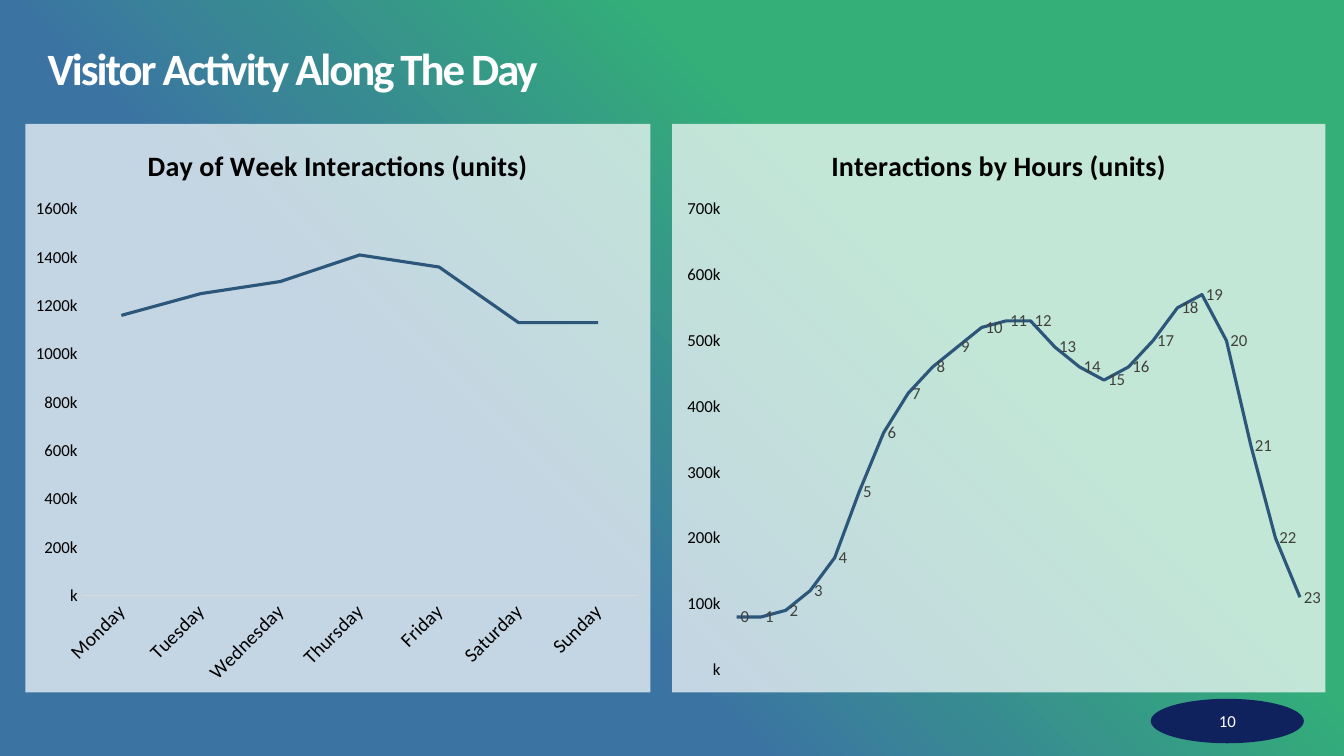
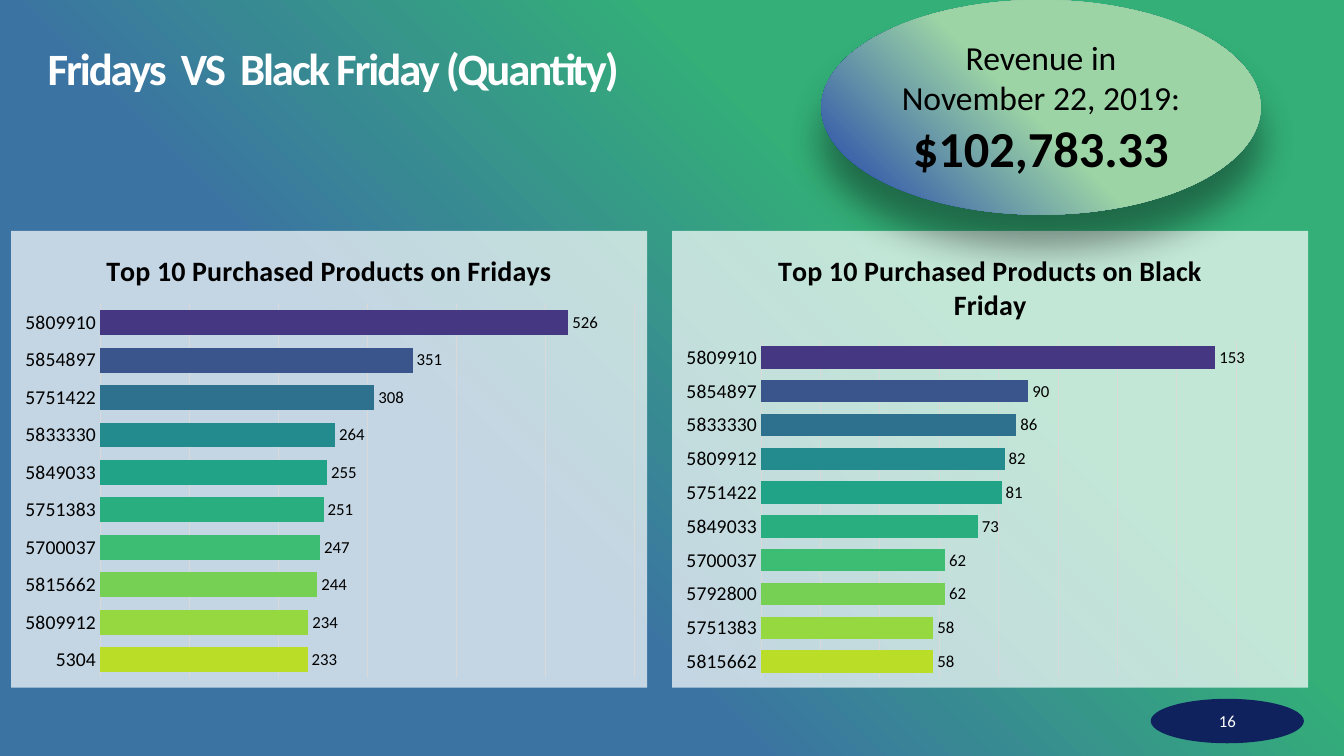
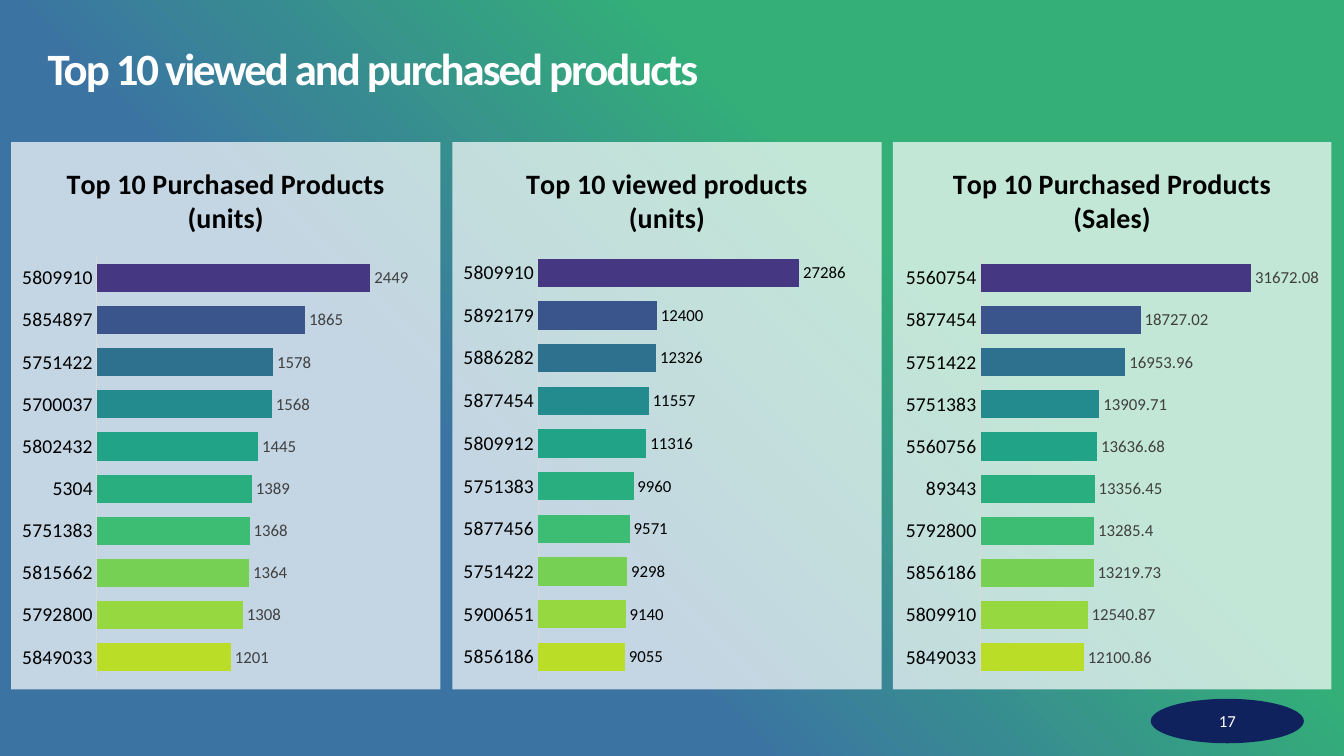
from dataclasses import dataclass
from typing import Optional

from lxml import etree
from pptx import Presentation
from pptx.chart import data as chart_data
from pptx.dml.color import RGBColor
from pptx.enum import chart as ch, shapes, text
from pptx.oxml import parse_xml
from pptx.oxml.ns import nsdecls, qn
from pptx.util import Cm, Pt

FONT = "Calibri"
WHITE = RGBColor(0xFF, 0xFF, 0xFF)
BLACK = RGBColor(0, 0, 0)
GREEN = RGBColor(0x33, 0xAF, 0x77)
BLUE = RGBColor(0x3B, 0x74, 0xA3)
PALE_GREEN = RGBColor(0x9C, 0xD4, 0xA5)
ROYAL_BLUE = RGBColor(0x1B, 0x3D, 0xAB)
NAVY = RGBColor(0x0F, 0x22, 0x5E)
STEEL = RGBColor(0x2C, 0x56, 0x7A)
DARK_GREY = RGBColor(0x40, 0x40, 0x40)
LIGHT_GREY = RGBColor(0xD9, 0xD9, 0xD9)
RANK_COLOURS = [RGBColor.from_string(code) for code in (
    "BADE28", "95D840", "75D054", "3DBC74", "29AF7F",
    "20A386", "238A8D", "2D718E", "39558C", "453781")]
PLOT_EDGE = 0.98


@dataclass
class Panel:
    """A chart panel; place is in cm, the plot edges are fractions of the panel."""
    title: str
    place: tuple[float, float, float, float]
    categories: list[str]
    values: list[float]
    top_value: int
    plot_left: float
    plot_top: float
    plot_bottom: float = PLOT_EDGE
    label_colour: RGBColor = BLACK


@dataclass
class LinePanel(Panel):
    step: int = 100000
    label_points: bool = False


@dataclass
class RankPanel(Panel):
    grid_step: Optional[int] = None


@dataclass
class Page:
    title: str
    number: int
    panels: list[Panel]
    revenue: Optional[tuple[str, str]] = None


def set_font(font, size: float, colour: RGBColor, bold: bool = False) -> None:
    font.name, font.size, font.bold = FONT, Pt(size), bold
    font.color.rgb = colour


def corner_gradient(fill, owner, stops: list[tuple[int, RGBColor]]) -> None:
    """Fill with a gradient that spreads from the top right corner."""
    fill.gradient()
    old = next(owner.iter(qn("a:gradFill")))
    stop_xml = "".join(f'<a:gs pos="{pos * 1000}"><a:srgbClr val="{colour}"/></a:gs>'
                       for pos, colour in stops)
    new = parse_xml(f'<a:gradFill {nsdecls("a")} rotWithShape="1"><a:gsLst>{stop_xml}</a:gsLst>'
                    '<a:path path="circle"><a:fillToRect l="100000" b="100000"/></a:path>'
                    '</a:gradFill>')
    old.getparent().replace(old, new)


def add_title(slide, title: str) -> None:
    box = slide.shapes.add_textbox(Cm(1.2), Cm(1.19), Cm(31.47), Cm(1.19))
    frame = box.text_frame
    frame.text = title
    frame.word_wrap = True
    frame.vertical_anchor = text.MSO_ANCHOR.MIDDLE
    frame.margin_left = frame.margin_right = frame.margin_top = frame.margin_bottom = 0
    line = frame.paragraphs[0]
    line.line_spacing = 0.9
    set_font(line.runs[0].font, 32, WHITE, bold=True)
    line.runs[0].font._element.set("spc", "-150")


def add_ellipse(slide, place: tuple[float, float, float, float],
                lines: list[tuple[str, float, RGBColor, bool]]):
    """Draw an ellipse with centred lines of (wording, size, colour, bold)."""
    ellipse = slide.shapes.add_shape(shapes.MSO_SHAPE.OVAL, *map(Cm, place))
    ellipse.shadow.inherit = False
    ellipse.line.fill.background()
    frame = ellipse.text_frame
    frame.vertical_anchor = text.MSO_ANCHOR.MIDDLE
    frame.text = "\n".join(wording for wording, *_ in lines)
    for paragraph, (_, size, colour, bold) in zip(frame.paragraphs, lines):
        paragraph.alignment = text.PP_ALIGN.CENTER
        set_font(paragraph.runs[0].font, size, colour, bold)
    return ellipse


def add_page_number(slide, number: int) -> None:
    badge = add_ellipse(slide, (29, 17.61, 3.86, 1.12), [(str(number), 12, WHITE, False)])
    badge.fill.solid()
    badge.fill.fore_color.rgb = NAVY


def add_revenue(slide, caption: str, amount: str) -> None:
    bubble = add_ellipse(slide, (20.7, 0, 11.07, 5.41),
                         [(caption, 24, BLACK, False), (amount, 36, BLACK, True)])
    corner_gradient(bubble.fill, bubble._element.spPr, [(52, PALE_GREEN), (100, ROYAL_BLUE)])
    effects = bubble._element.spPr.find(qn("a:effectLst"))
    effects.append(parse_xml(
        f'<a:outerShdw {nsdecls("a")} blurRad="{Pt(26)}" dist="{Pt(24)}" dir="5400000" '
        f'rotWithShape="0"><a:srgbClr val="{BLACK}"><a:alpha val="39000"/></a:srgbClr>'
        '</a:outerShdw>'))


def place_plot(chart, panel: Panel) -> None:
    plot_area = chart._chartSpace.chart.plotArea
    for layout in plot_area.findall(qn("c:layout")):
        plot_area.remove(layout)
    layout = etree.Element(qn("c:layout"))
    manual = etree.SubElement(layout, qn("c:manualLayout"))
    settings = {"layoutTarget": "inner", "xMode": "edge", "yMode": "edge",
                "x": panel.plot_left, "y": panel.plot_top,
                "w": round(PLOT_EDGE - panel.plot_left, 2),
                "h": round(panel.plot_bottom - panel.plot_top, 2)}
    for tag, value in settings.items():
        etree.SubElement(manual, qn(f"c:{tag}")).set("val", str(value))
    plot_area.insert(0, layout)


def add_panel(slide, panel: Panel, kind: ch.XL_CHART_TYPE):
    """Draw what all panels share and return the chart."""
    table = chart_data.CategoryChartData()
    table.categories = panel.categories
    table.add_series("Series 1", panel.values)
    chart = slide.shapes.add_chart(kind, *map(Cm, panel.place), table).chart
    set_font(chart.font, 10, BLACK)
    chart._chartSpace.find(qn("c:txPr")).addprevious(parse_xml(
        f'<c:spPr {nsdecls("c", "a")}><a:solidFill><a:srgbClr val="{WHITE}">'
        '<a:alpha val="70000"/></a:srgbClr></a:solidFill><a:ln><a:noFill/></a:ln></c:spPr>'))
    chart.has_legend = False
    chart.has_title = True
    heading = chart.chart_title.text_frame
    heading.text = panel.title
    set_font(heading.paragraphs[0].runs[0].font, 20, BLACK, bold=True)
    place_plot(chart, panel)
    chart.plots[0].vary_by_categories = False

    names, scale = chart.category_axis, chart.value_axis
    for axis in (names, scale):
        axis.major_tick_mark = axis.minor_tick_mark = ch.XL_TICK_MARK.NONE
        axis.has_major_gridlines = False
    names.format.line.color.rgb = LIGHT_GREY
    names.format.line.width = Pt(0.75)
    set_font(names.tick_labels.font, 14, BLACK)
    scale.minimum_scale, scale.maximum_scale = 0, panel.top_value
    return chart


def add_labels(plot, colour: RGBColor, position: ch.XL_LABEL_POSITION, by_name: bool) -> None:
    plot.has_data_labels = True
    labels = plot.data_labels
    labels.show_category_name, labels.show_value = by_name, not by_name
    labels.position = position
    set_font(labels.font, 12, colour)


def add_line_panel(slide, panel: LinePanel) -> None:
    chart = add_panel(slide, panel, ch.XL_CHART_TYPE.LINE)
    curve = chart.plots[0].series[0]
    curve.smooth = False
    curve.format.line.color.rgb = STEEL
    curve.format.line.width = Pt(2.25)
    scale = chart.value_axis
    scale.major_unit = panel.step
    scale.format.line.fill.background()
    scale.tick_labels.number_format = "#,\\k"
    scale.tick_labels.number_format_is_linked = False
    set_font(scale.tick_labels.font, 12, BLACK)
    if panel.label_points:
        chart.category_axis.visible = False
        add_labels(chart.plots[0], panel.label_colour, ch.XL_LABEL_POSITION.RIGHT, by_name=True)
    else:
        turned = chart.category_axis._element.find(qn("c:txPr")).find(qn("a:bodyPr"))
        turned.set("rot", "-2700000")


def add_rank_panel(slide, panel: RankPanel) -> None:
    chart = add_panel(slide, panel, ch.XL_CHART_TYPE.BAR_CLUSTERED)
    plot = chart.plots[0]
    plot.gap_width = 50
    bars = plot.series[0]
    bars.format.fill.solid()
    bars.format.fill.fore_color.rgb = STEEL
    for index, colour in enumerate(RANK_COLOURS):
        fill = bars.points[index].format.fill
        fill.solid()
        fill.fore_color.rgb = colour
    add_labels(plot, panel.label_colour, ch.XL_LABEL_POSITION.OUTSIDE_END, by_name=False)
    scale = chart.value_axis
    scale.visible = False
    if panel.grid_step:
        scale.major_unit = panel.grid_step
        scale.has_major_gridlines = True
        scale.major_gridlines.format.line.color.rgb = LIGHT_GREY
        scale.major_gridlines.format.line.width = Pt(0.75)


PAGES = [
    Page("Visitor Activity Along The Day", 10, [
        LinePanel(
            "Interactions by Hours (units)", (16.94, 3.12, 16.46, 14.33),
            [str(hour) for hour in range(24)],
            [80000, 80000, 90000, 120000, 170000, 270000, 360000, 420000,
             460000, 490000, 520000, 530000, 530000, 490000, 460000, 440000,
             460000, 500000, 550000, 570000, 500000, 340000, 200000, 110000],
            700000, 0.08, 0.15, 0.96, DARK_GREY, label_points=True),
        LinePanel(
            "Day of Week Interactions (units)", (0.64, 3.12, 15.75, 14.33),
            ["Monday", "Tuesday", "Wednesday", "Thursday", "Friday", "Saturday", "Sunday"],
            [1160000, 1250000, 1300000, 1410000, 1360000, 1130000, 1130000],
            1600000, 0.09, 0.15, 0.83, step=200000),
    ]),
    Page("Fridays  VS  Black Friday (Quantity)", 16, [
        RankPanel(
            "Top 10 Purchased Products on Fridays", (0.28, 5.82, 16.03, 11.51),
            ["5304", "5809912", "5815662", "5700037", "5751383",
             "5849033", "5833330", "5751422", "5854897", "5809910"],
            [233, 234, 244, 247, 251, 255, 264, 308, 351, 526],
            600, 0.14, 0.16, grid_step=100),
        RankPanel(
            "Top 10 Purchased Products on Black Friday", (16.94, 5.82, 16.03, 11.51),
            ["5815662", "5751383", "5792800", "5700037", "5849033",
             "5751422", "5809912", "5833330", "5854897", "5809910"],
            [58, 58, 62, 62, 73, 81, 82, 86, 90, 153],
            180, 0.14, 0.24, grid_step=20),
    ], ("Revenue in November 22, 2019:", "$102,783.33")),
    Page("Top 10 viewed and purchased products", 17, [
        RankPanel(
            "Top 10 Purchased Products (units)", (0.28, 3.58, 10.82, 13.79),
            ["5849033", "5792800", "5815662", "5751383", "5304",
             "5802432", "5700037", "5751422", "5854897", "5809910"],
            [1201, 1308, 1364, 1368, 1389, 1445, 1568, 1578, 1865, 2449],
            3000, 0.2, 0.21, label_colour=DARK_GREY),
        RankPanel(
            "Top 10 viewed products (units)", (11.4, 3.58, 10.82, 13.79),
            ["5856186", "5900651", "5751422", "5877456", "5751383",
             "5809912", "5877454", "5886282", "5892179", "5809910"],
            [9055, 9140, 9298, 9571, 9960, 11316, 11557, 12326, 12400, 27286],
            35000, 0.2, 0.2),
        RankPanel(
            "Top 10 Purchased Products (Sales)", (22.5, 3.58, 11.05, 13.79),
            ["5849033", "5809910", "5856186", "5792800", "89343",
             "5560756", "5751383", "5751422", "5877454", "5560754"],
            [12100.86, 12540.87, 13219.73, 13285.4, 13356.45,
             13636.68, 13909.71, 16953.96, 18727.02, 31672.08],
            40000, 0.2, 0.21, label_colour=DARK_GREY),
    ]),
]


def main() -> None:
    deck = Presentation()
    deck.slide_width, deck.slide_height = Cm(33.87), Cm(19.05)
    backdrop = deck.slide_master.background
    corner_gradient(backdrop.fill, deck.slide_master._element, [(33, GREEN), (64, BLUE)])
    for page in PAGES:
        slide = deck.slides.add_slide(deck.slide_layouts[6])
        add_title(slide, page.title)
        for panel in page.panels:
            if isinstance(panel, LinePanel):
                add_line_panel(slide, panel)
            else:
                add_rank_panel(slide, panel)
        if page.revenue:
            add_revenue(slide, *page.revenue)
        add_page_number(slide, page.number)
    deck.save("out.pptx")


if __name__ == "__main__":
    main()
